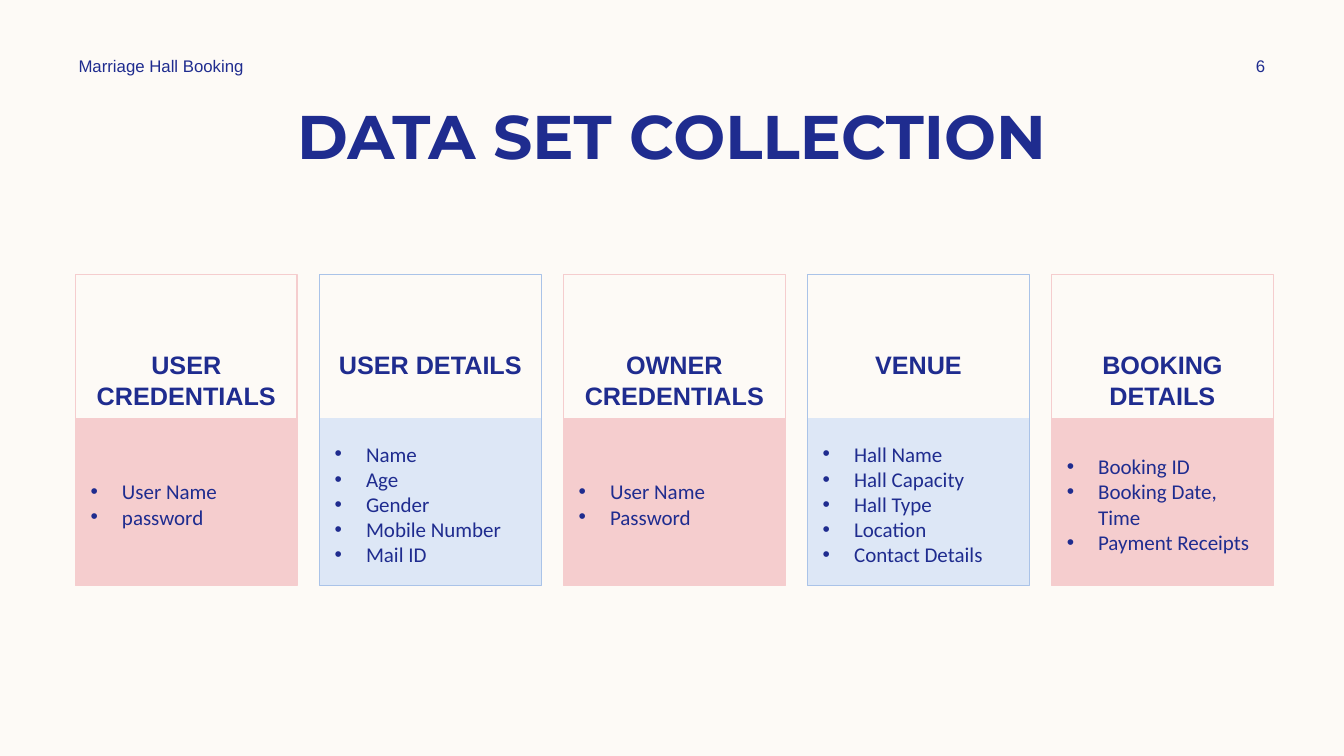
"""Build the data set collection slide with five outlined cards."""
from copy import deepcopy

from lxml import etree
from pptx import Presentation
from pptx.dml.color import RGBColor
from pptx.enum.shapes import MSO_SHAPE
from pptx.enum.text import MSO_ANCHOR, MSO_AUTO_SIZE, PP_ALIGN
from pptx.oxml.ns import qn
from pptx.util import Cm, Pt

RECT = MSO_SHAPE.RECTANGLE
TOP, MID = MSO_ANCHOR.TOP, MSO_ANCHOR.MIDDLE
LEFT, MIDDLE = PP_ALIGN.LEFT, PP_ALIGN.CENTER
FIXED = MSO_AUTO_SIZE.NONE

TITLE = "DATA SET COLLECTION"
LABELS = [
    ("Marriage Hall Booking", (1.73, 1.27, 8.89, 0.76), LEFT),
    ("6", (30.4, 1.27, 2.74, 0.76), MIDDLE),
]
CARDS = [
    ("USER CREDENTIALS", ["User Name", "password"]),
    ("USER DETAILS", ["Name", "Age", "Gender", "Mobile Number", "Mail ID"]),
    ("OWNER CREDENTIALS", ["User Name", "Password"]),
    ("VENUE", ["Hall Name", "Hall Capacity", "Hall Type", "Location",
               "Contact Details"]),
    ("BOOKING DETAILS", ["Booking ID", "Booking Date, Time",
                         "Payment Receipts"]),
]
COLORS = {"paper": "FDFAF6", "ink": "1F2C8F", "pink": "F5CDCE",
          "pale": "DDE7F6", "blue": "AAC3E8"}
TONES = [("pink", "pink"), ("pale", "blue")]
START, STEP, WIDTH = 1.9, 6.15, 5.59
HEAD_TOP, HEAD_HIGH = 6.91, 7.85
FILL_TOP, FILL_HIGH = 10.54, 4.22
LIST_TOP, LIST_HIGH, INSET = 10.8, 3.81, 0.13
INDENT = 0.79


def color(name):
    return RGBColor.from_string(COLORS[name])


def place(shape, box):
    shape.left, shape.top, shape.width, shape.height = map(Cm, box)


def write(shape, text, font, size, align=LEFT, bold=False, anchor=MID):
    frame = shape.text_frame
    frame.text = text
    frame.word_wrap = True
    frame.auto_size = FIXED
    frame.vertical_anchor = anchor
    for para in frame.paragraphs:
        para.alignment = align
        para.space_before = Pt(0)
        for run in para.runs:
            run.font.name = font
            run.font.size = Pt(size)
            run.font.bold = bold
            run.font.color.rgb = color("ink")


def bullet(shape, mark, indent):
    for para in shape.text_frame.paragraphs:
        props = para._p.get_or_add_pPr()
        props.set("marL", str(Cm(indent)))
        props.set("indent", str(-Cm(indent)))
        if mark:
            etree.SubElement(props, qn("a:buChar")).set("char", mark)
        else:
            etree.SubElement(props, qn("a:buNone"))


def extend(layout, count):
    body = layout.placeholders[1]._element
    for num in range(count, 1, -1):
        twin = deepcopy(body)
        twin.ph.set("idx", str(20 + num))
        twin.nvSpPr.cNvPr.set("id", str(20 + num))
        twin.nvSpPr.cNvPr.set("name", f"Content {num}")
        body.addnext(twin)


def card(slide, num, head, items, holders):
    left = START + num * STEP
    fill, edge = TONES[num % 2]
    title, rows = holders

    panel = slide.shapes.add_shape(
        RECT, Cm(left), Cm(FILL_TOP), Cm(WIDTH), Cm(FILL_HIGH))
    panel.shadow.inherit = False
    panel.fill.solid()
    panel.fill.fore_color.rgb = color(fill)
    panel.line.fill.background()
    slide.shapes._spTree.insert(2, panel._element)

    place(title, (left, HEAD_TOP, WIDTH, HEAD_HIGH))
    title.line.color.rgb = color(edge)
    title.line.width = Pt(1)
    write(title, head, "Arial", 18, MIDDLE, True, TOP)
    title.text_frame.margin_top = Cm(1.9)
    bullet(title, None, 0)

    place(rows, (left + INSET, LIST_TOP, WIDTH - 2 * INSET, LIST_HIGH))
    write(rows, "\n".join(items), "Calibri", 15)
    bullet(rows, "•", INDENT)


def main():
    deck = Presentation()
    deck.slide_width, deck.slide_height = Cm(33.87), Cm(19.05)
    layout = deck.slide_layouts[1]
    extend(layout, 2 * len(CARDS))
    slide = deck.slides.add_slide(layout)
    slide.background.fill.solid()
    slide.background.fill.fore_color.rgb = color("paper")

    title, *bodies = slide.placeholders
    place(title, (2.11, 2.34, 29.64, 2.13))
    write(title, TITLE, "Montserrat", 44, MIDDLE, True)
    for text, box, align in LABELS:
        label = slide.shapes.add_textbox(*map(Cm, box))
        write(label, text, "Arial", 12, align)
    for num, (head, items) in enumerate(CARDS):
        card(slide, num, head, items, bodies[2 * num:2 * num + 2])
    deck.save("out.pptx")


if __name__ == "__main__":
    main()
